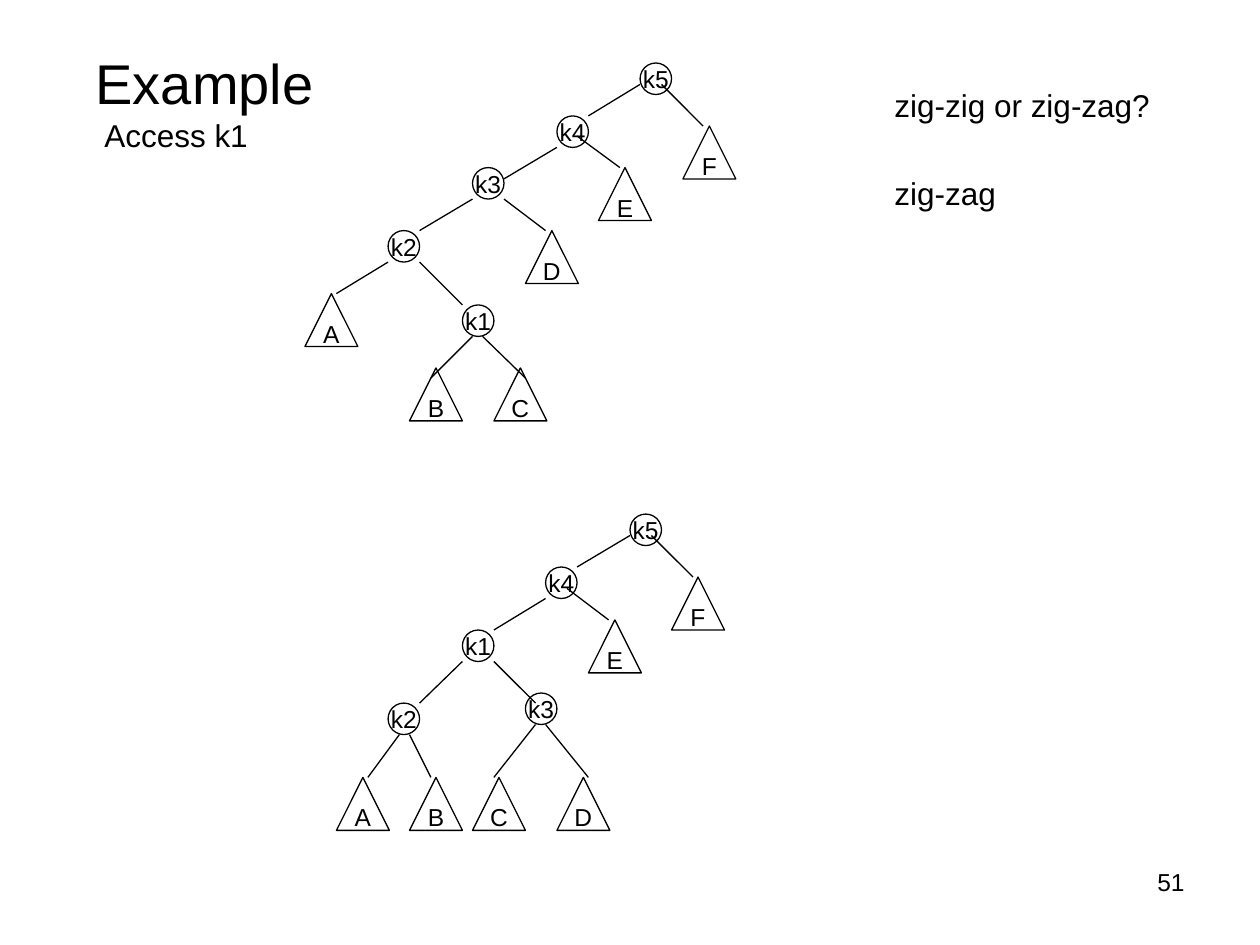
from lxml import etree
from pptx import Presentation
from pptx.dml.color import RGBColor
from pptx.enum.shapes import MSO_CONNECTOR, MSO_SHAPE
from pptx.enum.text import MSO_ANCHOR as ANCHOR, PP_ALIGN as ALIGN
from pptx.oxml.ns import qn
from pptx.util import Inches, Pt

BLACK = "000000"
NODE, LEAF = 0.25, 0.42  # sizes of circles and triangles

prs = Presentation()
prs.slide_width, prs.slide_height = Inches(10), Inches(7.5)
s = prs.slides.add_slide(prs.slide_layouts[6])


def set_color(fmt, color):
    fmt.rgb = RGBColor.from_string(color)


def add_text(sp, text, size=14, align=ALIGN.CENTER, anchor=ANCHOR.MIDDLE, wrap=False):
    tf = sp.text_frame
    tf.word_wrap = wrap
    tf.vertical_anchor = anchor
    p = tf.paragraphs[0]
    p.alignment = align
    r = p.add_run()
    r.text = text
    r.font.name, r.font.size = "Arial", Pt(size)
    set_color(r.font.color, BLACK)


# Title, notes and slide number
sp = s.shapes.add_textbox(Inches(0.5), Inches(0.3), Inches(2.25), Inches(0.7))
add_text(sp, "Example", size=32, wrap=True)

for text, x, y, w in [
    ("Access k1", 0.73, 0.87, 1.34),
    ("zig-zig or zig-zag?", 7, 0.63, 2.23),
    ("zig-zag", 7, 1.33, 1.01),
]:
    sp = s.shapes.add_textbox(Inches(x), Inches(y), Inches(w), Inches(0.4))
    add_text(sp, text, size=18, align=ALIGN.LEFT, anchor=ANCHOR.TOP)

sp = s.shapes.add_textbox(Inches(7.17), Inches(6.83), Inches(2.33), Inches(0.52))
add_text(sp, "51", align=ALIGN.RIGHT, anchor=ANCHOR.TOP, wrap=True)

# Trees: top-left corners of nodes and leaves, end points of edges
before = {
    "nodes": {"k1": (3.67, 2.42), "k2": (3.08, 1.83), "k3": (3.75, 1.33),
              "k4": (4.42, 0.92), "k5": (5.08, 0.5)},
    "leaves": {"A": (2.42, 2.33), "B": (3.25, 2.92), "C": (3.92, 2.92),
               "D": (4.17, 1.83), "E": (4.75, 1.33), "F": (5.42, 1)},
    "edges": [
        (5.08, 0.67, 4.67, 0.92), (5.25, 0.67, 5.58, 1),        # k5
        (4.42, 1.17, 4, 1.42), (4.58, 1.08, 4.92, 1.33),        # k4
        (3.75, 1.58, 3.33, 1.83), (4, 1.58, 4.33, 1.83),        # k3
        (3.08, 2.08, 2.67, 2.33), (3.33, 2.08, 3.67, 2.42),     # k2
        (3.75, 2.67, 3.42, 3), (3.83, 2.67, 4.17, 3),           # k1
    ],
}
after = {
    "nodes": {"k1": (3.67, 5), "k2": (3.08, 5.58), "k3": (4.17, 5.5),
              "k4": (4.33, 4.5), "k5": (5, 4.08)},
    "leaves": {"A": (2.67, 6.17), "B": (3.25, 6.17), "C": (3.75, 6.17),
               "D": (4.42, 6.17), "E": (4.67, 4.92), "F": (5.33, 4.58)},
    "edges": [
        (5, 4.25, 4.58, 4.5), (5.17, 4.25, 5.5, 4.58),          # k5
        (4.33, 4.75, 3.92, 5), (4.5, 4.67, 4.83, 4.92),         # k4
        (3.67, 5.25, 3.33, 5.58), (3.92, 5.25, 4.25, 5.58),     # k1
        (3.17, 5.83, 2.92, 6.17), (3.25, 5.83, 3.42, 6.17),     # k2
        (4.25, 5.75, 3.92, 6.17), (4.33, 5.75, 4.67, 6.17),     # k3
    ],
}

# The tree after the rotation is one group
for tree, shapes in [(before, s.shapes), (after, s.shapes.add_group_shape().shapes)]:
    for part, kind, size in [
        ("nodes", MSO_SHAPE.OVAL, NODE),
        ("leaves", MSO_SHAPE.ISOSCELES_TRIANGLE, LEAF),
    ]:
        for label, (x, y) in tree[part].items():
            sp = shapes.add_shape(kind, Inches(x), Inches(y), Inches(size), Inches(size))
            sp.shadow.inherit = False
            sp.fill.background()
            set_color(sp.line.color, BLACK)
            sp.line.width = Pt(0.75)
            add_text(sp, label)

    for edge in tree["edges"]:
        line = shapes.add_connector(MSO_CONNECTOR.STRAIGHT, *map(Inches, edge))
        set_color(line.line.color, BLACK)
        line.line.width = Pt(0.75)
        etree.SubElement(line._element.spPr, qn("a:effectLst"))

prs.save("out.pptx")
